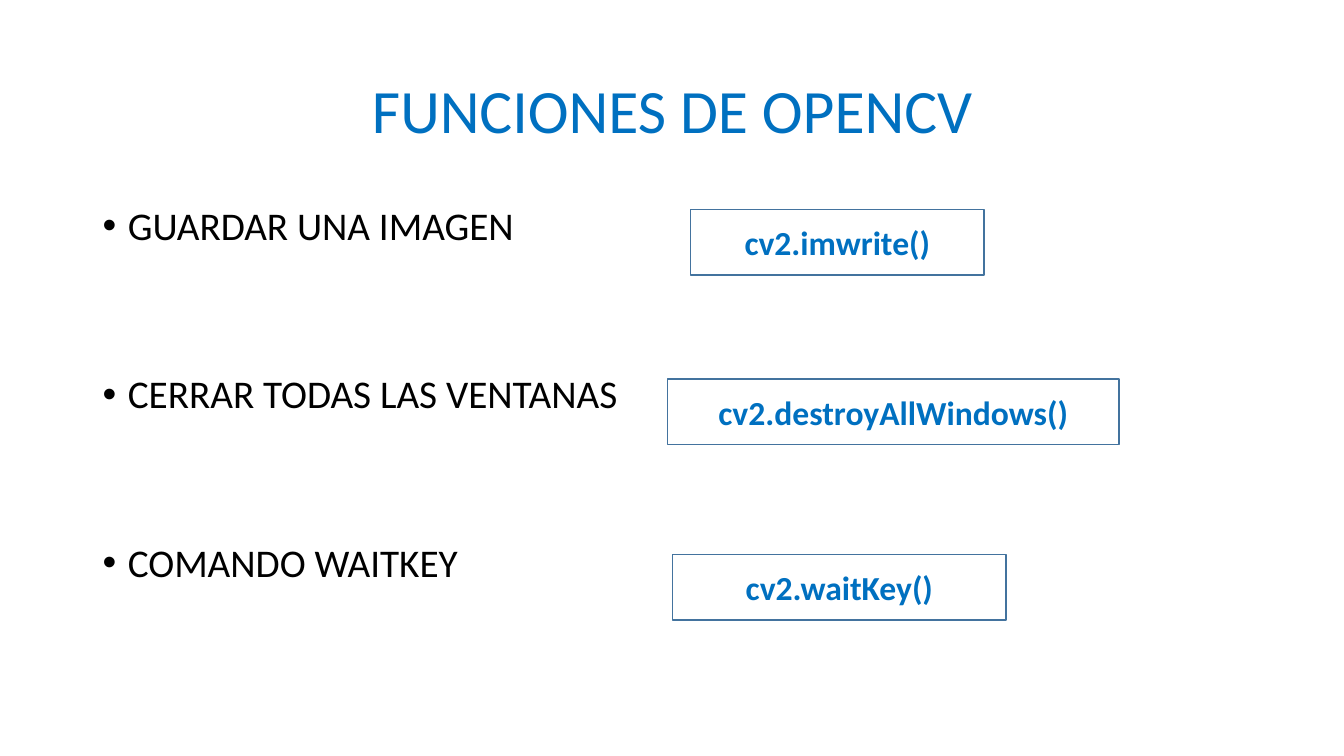
from pptx import Presentation
from pptx import util as u
from pptx.dml.color import RGBColor
from pptx.enum import shapes, text
from pptx.oxml import parse_xml
from pptx.oxml.ns import nsdecls

BLUE = RGBColor(0x00, 0x70, 0xC0)
BORDER = RGBColor(0x43, 0x73, 0x9E)
BLACK = RGBColor(0x00, 0x00, 0x00)
WHITE = RGBColor(0xFF, 0xFF, 0xFF)

FUNCTIONS = [
    ("GUARDAR UNA IMAGEN", "cv2.imwrite()", 6.85, 2.08, 2.91),
    ("CERRAR TODAS LAS VENTANAS", "cv2.destroyAllWindows()", 6.62, 3.76, 4.48),
    ("COMANDO WAITKEY", "cv2.waitKey()", 6.67, 5.5, 3.31),
]
MARGIN = 0.92
CONTENT_WIDTH = 11.5
BOX_HEIGHT = 0.65
BULLET_INDENT = u.Inches(0.25)
BULLET_GAP = 90


def write(paragraph, words, size, color, bold=False, align=None, spacing=None, before=0):
    paragraph.alignment = align
    paragraph.line_spacing = spacing
    paragraph.space_before = u.Pt(before)
    run = paragraph.add_run()
    run.text = words
    run.font.name = "Calibri"
    run.font.size = u.Pt(size)
    run.font.bold = bold
    run.font.color.rgb = color


presentation = Presentation()
presentation.slide_width = u.Inches(13.33)
presentation.slide_height = u.Inches(7.5)
slide = presentation.slides.add_slide(presentation.slide_layouts[5])

title = slide.shapes.title
title.left, title.top = u.Inches(MARGIN), u.Inches(0.4)
title.width, title.height = u.Inches(CONTENT_WIDTH), u.Inches(1.45)
title.text_frame.vertical_anchor = text.MSO_ANCHOR.MIDDLE
write(title.text_frame.paragraphs[0], "FUNCIONES DE OPENCV", 44, BLUE,
      align=text.PP_ALIGN.CENTER, spacing=0.9)

tasks = slide.shapes.add_textbox(
    u.Inches(MARGIN), u.Inches(2), u.Inches(CONTENT_WIDTH), u.Inches(4.76)).text_frame
tasks.word_wrap = True

for index, (task, call, left, top, width) in enumerate(FUNCTIONS):
    paragraph = tasks.add_paragraph() if index else tasks.paragraphs[0]
    write(paragraph, task, 28, BLACK, align=text.PP_ALIGN.LEFT, spacing=0.9,
          before=BULLET_GAP if index else 0)
    properties = paragraph._p.get_or_add_pPr()
    properties.set("marL", str(BULLET_INDENT))
    properties.set("indent", str(-BULLET_INDENT))
    properties.append(parse_xml(f'<a:buFont {nsdecls("a")} typeface="Arial"/>'))
    properties.append(parse_xml(f'<a:buChar {nsdecls("a")} char="•"/>'))

    box = slide.shapes.add_shape(
        shapes.MSO_SHAPE.RECTANGLE,
        u.Inches(left), u.Inches(top), u.Inches(width), u.Inches(BOX_HEIGHT))
    box.shadow.inherit = False
    box.fill.solid()
    box.fill.fore_color.rgb = WHITE
    box.line.color.rgb = BORDER
    box.line.width = u.Pt(1)
    box.text_frame.vertical_anchor = text.MSO_ANCHOR.MIDDLE
    write(box.text_frame.paragraphs[0], call, 24, BLUE, bold=True,
          align=text.PP_ALIGN.CENTER)

presentation.save("out.pptx")
